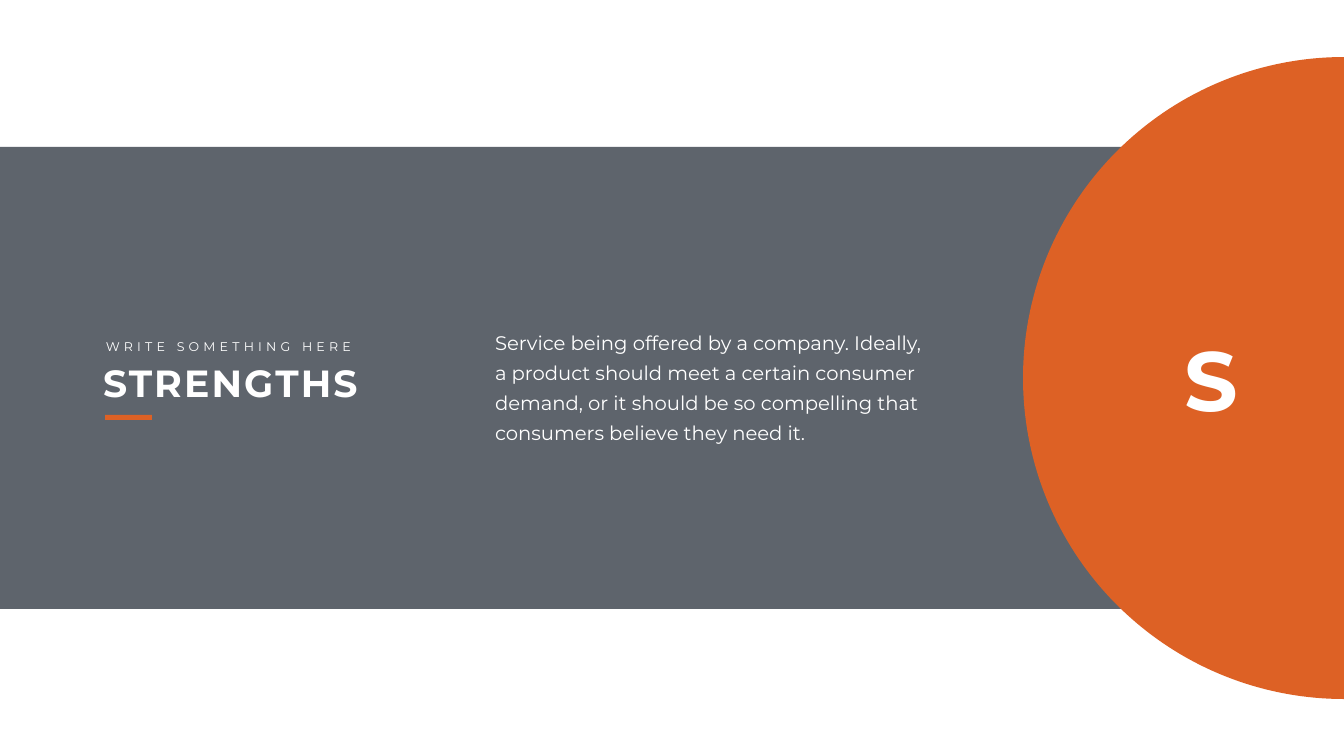
"""Build the Strengths slide: a grey band, its heading and text, and an orange half disc."""
from dataclasses import dataclass
from typing import Optional

from lxml.etree import SubElement
from pptx import Presentation
from pptx.dml.color import RGBColor
from pptx.enum.shapes import MSO_SHAPE
from pptx.enum.text import MSO_ANCHOR, MSO_AUTO_SIZE, PP_ALIGN
from pptx.oxml.ns import qn
from pptx.util import Emu, Pt

EMU_PER_PX = 914400 / 50.4


@dataclass(frozen=True)
class Theme:
    """Colours, font and type sizes of the slide."""

    white: str = "FFFFFF"
    slate: str = "363E48"
    orange: str = "DD6125"
    font: str = "Montserrat"
    letter_size: int = 120
    title_size: int = 54
    body_size: int = 28
    kicker_size: int = 18


@dataclass(frozen=True)
class Box:
    """A position and size in px."""

    left: int
    top: int
    width: int
    height: int


@dataclass(frozen=True)
class Block:
    """A filled preset shape."""

    kind: MSO_SHAPE
    box: Box
    color: str
    opacity: int = 100
    angles: tuple[float, ...] = ()


THEME = Theme()
BAND = Block(MSO_SHAPE.RECTANGLE, Box(0, 147, 1344, 462), THEME.slate, opacity=80)
ACCENT = Block(MSO_SHAPE.RECTANGLE, Box(105, 415, 47, 5), THEME.orange)
HALF_DISC = Block(MSO_SHAPE.CHORD, Box(1023, 57, 642, 642), THEME.orange, angles=(54, 162))


def px(length: int) -> Emu:
    """Turn px into EMU."""
    return Emu(round(length * EMU_PER_PX))


def edges(box: Box) -> tuple[Emu, Emu, Emu, Emu]:
    """Give the box as left, top, width and height in EMU."""
    return px(box.left), px(box.top), px(box.width), px(box.height)


def draw_block(slide, block: Block):
    """Draw a borderless filled shape."""
    shape = slide.shapes.add_shape(block.kind, *edges(block.box))
    shape.shadow.inherit = False
    shape.line.fill.background()
    shape.fill.solid()
    shape.fill.fore_color.rgb = RGBColor.from_string(block.color)
    for index, angle in enumerate(block.angles):
        shape.adjustments[index] = angle
    if block.opacity < 100:
        color = shape.element.spPr.find(".//" + qn("a:srgbClr"))
        SubElement(color, qn("a:alpha"), val=str(block.opacity * 1000))
    return shape


def write(shape, text: str, box: Box, *, size: int, bold: bool = False,
          tracking: int = 0, align: PP_ALIGN = PP_ALIGN.LEFT, wrap: bool = True,
          leading: Optional[int] = None, inset: Optional[tuple[int, int]] = None) -> None:
    """Place a text shape and fill it with one formatted paragraph."""
    shape.left, shape.top, shape.width, shape.height = edges(box)
    frame = shape.text_frame
    frame.auto_size = MSO_AUTO_SIZE.NONE
    frame.word_wrap = wrap
    frame.vertical_anchor = MSO_ANCHOR.TOP
    if inset:
        frame.margin_left = frame.margin_right = px(inset[0])
        frame.margin_top = frame.margin_bottom = px(inset[1])
    paragraph = frame.paragraphs[0]
    properties = paragraph._p.get_or_add_pPr()
    properties.set("marL", "0")
    properties.set("indent", "0")
    SubElement(properties, qn("a:buNone"))
    paragraph.alignment = align
    paragraph.space_before = Pt(0)
    if leading:
        paragraph.line_spacing = Pt(leading)
    run = paragraph.add_run()
    run.text = text
    run.font.name = THEME.font
    run.font.size = Pt(size)
    run.font.bold = bold
    run.font.color.rgb = RGBColor.from_string(THEME.white)
    if tracking:
        run._r.get_or_add_rPr().set("spc", str(tracking * 100))


def add_label(slide):
    """Add an empty text box."""
    return slide.shapes.add_textbox(0, 0, 0, 0)


def main() -> None:
    """Build and save the slide."""
    deck = Presentation()
    deck.slide_width, deck.slide_height = px(1344), px(756)
    slide = deck.slides.add_slide(deck.slide_layouts[1])
    title, description = slide.shapes.title, slide.placeholders[1]

    band = draw_block(slide, BAND)
    title.element.addprevious(band.element)
    write(title, "STRENGTHS", Box(98, 357, 528, 51),
          size=THEME.title_size, bold=True, tracking=3)
    write(add_label(slide), "WRITE SOMETHING HERE", Box(101, 336, 261, 20),
          size=THEME.kicker_size, tracking=6, wrap=False)
    draw_block(slide, ACCENT)
    write(description,
          "Service being offered by a company. Ideally, a product should meet "
          "a certain consumer demand, or it should be so compelling that "
          "consumers believe they need it.",
          Box(483, 318, 454, 131), size=THEME.body_size, leading=43, inset=(12, 6))
    draw_block(slide, HALF_DISC)
    write(add_label(slide), "S", Box(1164, 325, 95, 107),
          size=THEME.letter_size, bold=True, align=PP_ALIGN.CENTER)
    deck.save("out.pptx")


if __name__ == "__main__":
    main()
